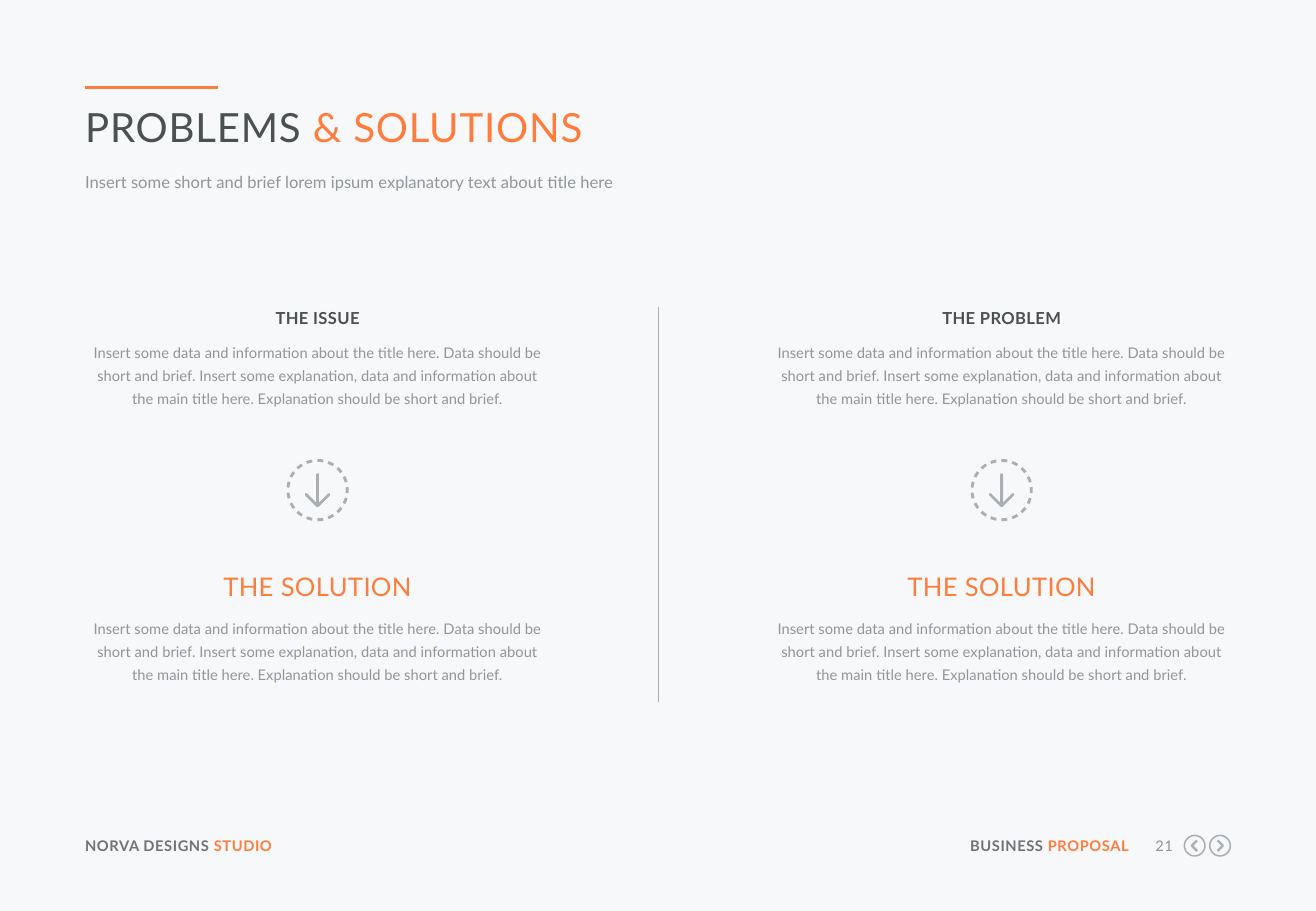
from collections import namedtuple
from dataclasses import dataclass
from math import cos, pi, sin

from lxml import etree
from pptx import Presentation
from pptx.dml.color import RGBColor
from pptx.enum.shapes import MSO_CONNECTOR, MSO_SHAPE
from pptx.enum.text import MSO_ANCHOR, MSO_AUTO_SIZE, PP_ALIGN
from pptx.oxml.ns import qn
from pptx.util import Cm, Pt

LEFT, CENTER, RIGHT = PP_ALIGN.LEFT, PP_ALIGN.CENTER, PP_ALIGN.RIGHT
TOP, NO_AUTOFIT = MSO_ANCHOR.TOP, MSO_AUTO_SIZE.NONE
STRAIGHT, OVAL = MSO_CONNECTOR.STRAIGHT, MSO_SHAPE.OVAL

# Boxes are in centimetres
Box = namedtuple("Box", "left top width height")
# Letter spacing is in hundredths of a point
Style = namedtuple("Style", "size bold spacing")


@dataclass(frozen=True)
class Theme:
    font: str = "Lato"
    background: str = "F6F8FA"
    accent: str = "FF7D3C"
    dark: str = "4B5050"
    footer: str = "6E7378"
    muted: str = "91969B"
    line: str = "AAAFB4"
    title: Style = Style(23.8, False, 50)
    subtitle: Style = Style(9.8, False, 0)
    heading: Style = Style(9.8, True, 20)
    solution: Style = Style(15.2, False, 20)
    body: Style = Style(8.7, False, 0)
    footer_label: Style = Style(8.7, True, 30)
    page_number: Style = Style(8.7, False, 30)


THEME = Theme()
BODY_TEXT = (
    "Insert some data and information about the title here. Data should be "
    "short and brief. Insert some explanation, data and information about "
    "the main title here. Explanation should be short and brief."
)


def rgb(value):
    return RGBColor.from_string(value)


def place(shape, box):
    for name, value in box._asdict().items():
        setattr(shape, name, Cm(value))


def write(shape, parts, style, align=LEFT, line_spacing=1.0):
    """Fill a text shape with one paragraph of (text, colour) parts."""
    frame = shape.text_frame
    frame_format = dict(margin_left=0, margin_right=0, margin_top=0, margin_bottom=0,
                        word_wrap=True, auto_size=NO_AUTOFIT, vertical_anchor=TOP)
    for name, value in frame_format.items():
        setattr(frame, name, value)
    paragraph = frame.paragraphs[0]
    paragraph_format = dict(alignment=align, line_spacing=line_spacing, space_before=Pt(0))
    for name, value in paragraph_format.items():
        setattr(paragraph, name, value)
    run_format = dict(name=THEME.font, size=Pt(style.size), bold=style.bold)
    for text, color in parts:
        run = paragraph.add_run()
        run.text = text
        for name, value in run_format.items():
            setattr(run.font, name, value)
        run.font.color.rgb = rgb(color)
        run._r.get_or_add_rPr().set("spc", str(style.spacing))


def add_text(slide, box, parts, style, align=LEFT, line_spacing=1.0):
    shape = slide.shapes.add_textbox(*map(Cm, box))
    write(shape, parts, style, align, line_spacing)


def add_line(slide, start, end, color, width):
    connector = slide.shapes.add_connector(STRAIGHT, *map(Cm, start + end))
    connector.line.color.rgb = rgb(color)
    connector.line.width = Pt(width)
    etree.SubElement(connector._element.spPr, qn("a:effectLst"))


def add_outline(slide, contours, close=True):
    """Draw contours of (x, y) points in centimetres as one freeform."""
    contours = [[(Cm(x), Cm(y)) for x, y in points] for points in contours]
    builder = slide.shapes.build_freeform(*contours[0][0], scale=1.0)
    for index, points in enumerate(contours):
        if index:
            builder.move_to(*points[0])
        builder.add_line_segments(points[1:], close=close)
    shape = builder.convert_to_shape()
    shape.shadow.inherit = False
    return shape


def add_header(slide, box):
    # Accent rule
    add_line(slide, (box.left, box.top), (box.left + 2.77, box.top), THEME.accent, 2.25)

    # Title and subtitle placeholders
    title, subtitle = slide.shapes.title, slide.placeholders[1]
    place(title, Box(box.left, box.top + 0.3, box.width, 1.04))
    write(title, [("PROBLEMS ", THEME.dark), ("& SOLUTIONS", THEME.accent)], THEME.title)
    place(subtitle, Box(box.left, box.top + 1.73, box.width, 0.53))
    properties = subtitle.text_frame.paragraphs[0]._p.get_or_add_pPr()
    properties.set("marL", "0")
    properties.set("indent", "0")
    etree.SubElement(properties, qn("a:buNone"))
    text = "Insert some short and brief lorem ipsum explanatory text about title here"
    write(subtitle, [(text, THEME.muted)], THEME.subtitle, line_spacing=Pt(13))


def add_down_icon(slide, center_x, center_y):
    # Dashed ring: evenly spaced dashes, the first one centred on the right
    dash_count, half_dash, outer, inner = 17, pi / 32, 0.65, 0.59
    corners = [(outer, -1), (outer, 0), (outer, 1), (inner, 1), (inner, 0), (inner, -1)]
    contours = []
    for index in range(dash_count):
        angle = 2 * pi * index / dash_count
        contours.append([(radius * cos(angle + side * half_dash),
                          radius * sin(angle + side * half_dash))
                         for radius, side in corners])

    # Arrow: the right half, mirrored for the left half
    half = [(0.02, -0.35), (0.03, -0.32), (0.03, 0.26), (0.22, 0.07),
            (0.26, 0.07), (0.26, 0.11), (0.02, 0.35)]
    contours.append(half + [(-x, y) for x, y in reversed(half)])

    icon = add_outline(slide, [[(center_x + x, center_y + y) for x, y in points]
                               for points in contours])
    icon.fill.solid()
    icon.fill.fore_color.rgb = rgb(THEME.line)
    icon.line.fill.background()


def add_column(slide, box, heading):
    blocks = [
        (0, 0.41, heading, THEME.dark, THEME.heading, 1.0),
        (0.64, 1.45, BODY_TEXT, THEME.muted, THEME.body, 1.3),
        (5.49, 0.66, "THE SOLUTION", THEME.accent, THEME.solution, 1.0),
        (6.4, 1.45, BODY_TEXT, THEME.muted, THEME.body, 1.3),
    ]
    for offset, height, text, color, style, spacing in blocks:
        text_box = Box(box.left, box.top + offset, box.width, height)
        add_text(slide, text_box, [(text, color)], style, CENTER, spacing)
    add_down_icon(slide, box.left + box.width / 2, box.top + 3.8)


def add_page_button(slide, box, direction):
    ring = slide.shapes.add_shape(OVAL, *map(Cm, box))
    ring.shadow.inherit = False
    ring.fill.background()
    x, y = box.left + box.width / 2, box.top + box.height / 2
    points = [(x - 0.05 * direction, y - 0.11), (x + 0.06 * direction, y),
              (x - 0.05 * direction, y + 0.11)]
    chevron = add_outline(slide, [points], close=False)
    chevron.fill.background()
    for shape, width in ((ring, 0.9), (chevron, 1.4)):
        shape.line.color.rgb = rgb(THEME.line)
        shape.line.width = Pt(width)


def add_footer(slide, box):
    labels = [
        (0, 5.36, [("NORVA DESIGNS ", THEME.footer), ("STUDIO", THEME.accent)],
         THEME.footer_label, LEFT),
        (18.34, 3.48, [("BUSINESS ", THEME.footer), ("PROPOSAL", THEME.accent)],
         THEME.footer_label, RIGHT),
        (22.1, 0.64, [("21", THEME.muted)], THEME.page_number, RIGHT),
    ]
    for offset, width, parts, style, align in labels:
        add_text(slide, Box(box.left + offset, box.top, width, box.height), parts, style, align)

    # Previous and next buttons
    for index, direction in enumerate((-1, 1)):
        button = Box(box.left + 22.98 + 0.53 * index, box.top - 0.03, 0.43, 0.43)
        add_page_button(slide, button, direction)


def main():
    presentation = Presentation()
    presentation.slide_width, presentation.slide_height = Cm(27.51), Cm(19.05)
    slide = presentation.slides.add_slide(presentation.slide_layouts[1])
    slide.background.fill.solid()
    slide.background.fill.fore_color.rgb = rgb(THEME.background)

    add_header(slide, Box(1.78, 1.83, 23.93, 2.26))
    for left, heading in ((1.85, "THE ISSUE"), (16.15, "THE PROBLEM")):
        add_column(slide, Box(left, 6.45, 9.58, 7.85), heading)
    add_line(slide, (13.76, 6.43), (13.76, 14.68), THEME.line, 0.75)
    add_footer(slide, Box(1.78, 17.5, 23.93, 0.38))
    presentation.save("out.pptx")


if __name__ == "__main__":
    main()
